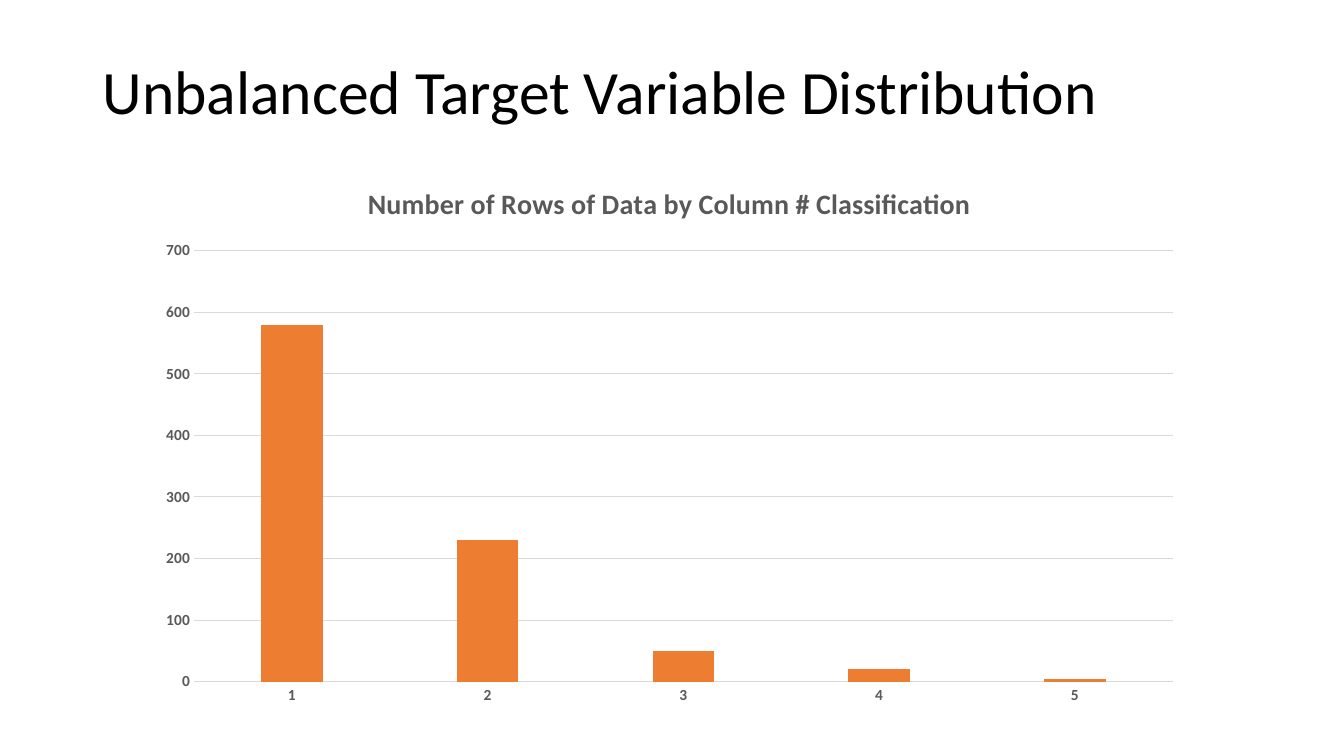
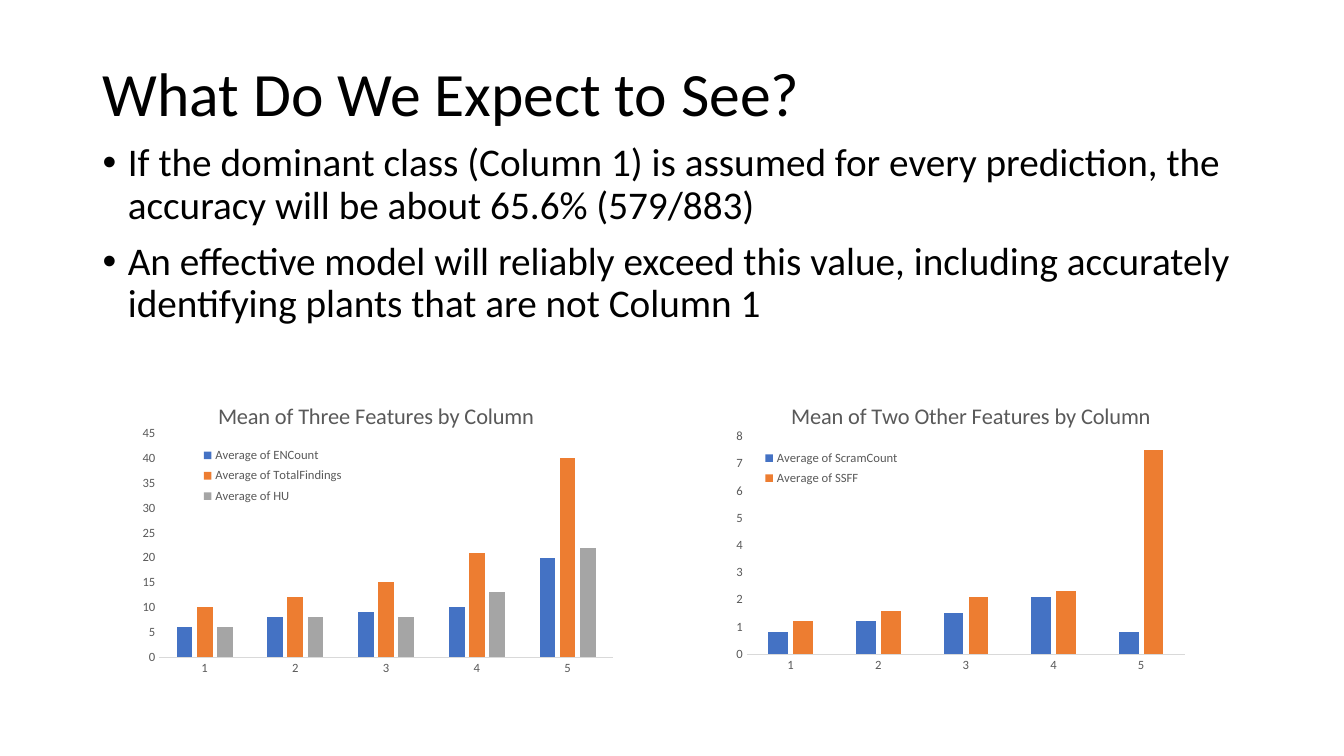
from lxml import etree
from pptx import Presentation
from pptx.chart.data import CategoryChartData
from pptx.dml.color import RGBColor
from pptx.enum.chart import XL_CHART_TYPE, XL_LEGEND_POSITION, XL_TICK_MARK
from pptx.enum.text import MSO_ANCHOR
from pptx.oxml.ns import qn
from pptx.util import Inches, Pt

COLUMNS = XL_CHART_TYPE.COLUMN_CLUSTERED
LEGEND_RIGHT = XL_LEGEND_POSITION.RIGHT
NO_TICK = XL_TICK_MARK.NONE
MIDDLE = MSO_ANCHOR.MIDDLE
TOP = MSO_ANCHOR.TOP

FONT = "Calibri"
BLACK = "000000"
GRAY_TEXT = "595959"
GRAY_LINE = "D9D9D9"
BLUE = "4472C4"
ORANGE = "ED7D31"
SILVER = "A5A5A5"
CATEGORIES = ["1", "2", "3", "4", "5"]
MARGIN_LEFT = 0.92
TEXT_WIDTH = 11.5


def color(hex_code):
    """Return the colour for a hex string."""
    return RGBColor.from_string(hex_code)


def style_font(font, size, hex_code, bold=False):
    """Set typeface, size, colour and weight."""
    font.name = FONT
    font.size = Pt(size)
    font.color.rgb = color(hex_code)
    font.bold = bold


def add_text(page, top, height, lines, size, anchor):
    """Add a text box across the page and return its paragraphs."""
    box = page.shapes.add_textbox(Inches(MARGIN_LEFT), Inches(top),
                                  Inches(TEXT_WIDTH), Inches(height))
    frame = box.text_frame
    frame.word_wrap = True
    frame.vertical_anchor = anchor
    frame.text = "\n".join(lines)
    for para in frame.paragraphs:
        para.line_spacing = 0.9
        style_font(para.font, size, BLACK)
    return frame.paragraphs


def add_title(page, text, top):
    """Add the slide title."""
    add_text(page, top, 1.45, [text], 44, MIDDLE)


def add_bullets(page, lines, top, height):
    """Add a bulleted list with hanging indents."""
    for para in add_text(page, top, height, lines, 28, TOP):
        para.space_before = Pt(10)
        properties = para._p.get_or_add_pPr()
        properties.set("marL", str(Inches(0.25)))
        properties.set("indent", str(-Inches(0.25)))
        etree.SubElement(properties, qn("a:buFont")).set("typeface", "Arial")
        etree.SubElement(properties, qn("a:buChar")).set("char", "•")


def make_layout(left, top, width, height, inner=False):
    """Return a manual chart layout, in fractions of the chart."""
    layout = etree.Element(qn("c:layout"))
    manual = etree.SubElement(layout, qn("c:manualLayout"))
    settings = [("xMode", "edge"), ("yMode", "edge"), ("x", left),
                ("y", top), ("w", width), ("h", height)]
    if inner:
        settings.insert(0, ("layoutTarget", "inner"))
    for name, value in settings:
        etree.SubElement(manual, qn("c:" + name)).set("val", str(value))
    return layout


def place_plot(chart, area):
    """Fix the inner plot area."""
    plot_area = chart._chartSpace.chart.plotArea
    for old in plot_area.findall(qn("c:layout")):
        plot_area.remove(old)
    plot_area.insert(0, make_layout(*area, inner=True))


def add_legend(chart, area):
    """Add a legend at a fixed place over the plot."""
    chart.has_legend = True
    legend = chart.legend
    legend.position = LEGEND_RIGHT
    legend.include_in_layout = False
    style_font(legend.font, 9, GRAY_TEXT)
    element = legend._element
    for old in element.findall(qn("c:layout")):
        element.remove(old)
    element.find(qn("c:legendPos")).addnext(make_layout(*area))


def style_axes(chart, size, bold, maximum, step, grid):
    """Style both axes and set the value scale."""
    for axis in (chart.category_axis, chart.value_axis):
        axis.major_tick_mark = NO_TICK
        axis.minor_tick_mark = NO_TICK
        style_font(axis.tick_labels.font, size, GRAY_TEXT, bold)
    lines = [chart.category_axis.format.line]
    values = chart.value_axis
    values.format.line.fill.background()
    values.minimum_scale = 0
    values.maximum_scale = maximum
    values.major_unit = step
    values.has_major_gridlines = grid
    if grid:
        lines.append(values.major_gridlines.format.line)
    for line in lines:
        line.color.rgb = color(GRAY_LINE)
        line.width = Pt(0.75)


def add_column_chart(page, area, title, series, maximum, step, title_size=16,
                     axis_size=9, bold=False, grid=False):
    """Add a clustered column chart; series holds (name, values, colour)."""
    data = CategoryChartData()
    data.categories = CATEGORIES
    for name, values, _ in series:
        data.add_series(name, values)
    chart = page.shapes.add_chart(COLUMNS, *map(Inches, area), data).chart
    style_font(chart.font, 10, BLACK)
    chart.has_legend = False
    chart.has_title = True
    chart.chart_title.include_in_layout = False
    frame = chart.chart_title.text_frame
    frame.text = title
    style_font(frame.paragraphs[0].font, title_size, GRAY_TEXT, bold)
    style_axes(chart, axis_size, bold, maximum, step, grid)
    plot = chart.plots[0]
    plot.gap_width = 219
    plot.overlap = -27
    plot.vary_by_categories = False
    for columns, (_, _, fill) in zip(plot.series, series):
        columns.format.fill.solid()
        columns.format.fill.fore_color.rgb = color(fill)
    return chart


def build_distribution(page):
    """Build the slide on the target variable."""
    add_title(page, "Unbalanced Target Variable Distribution", 0.21)
    add_column_chart(
        page, (1.44, 1.61, 10.4, 5.49),
        "Number of Rows of Data by Column # Classification",
        [("Series 1", [580, 230, 50, 20, 5], ORANGE)],
        700, 100, title_size=20, axis_size=11, bold=True, grid=True)


def build_expectations(page):
    """Build the slide on expected accuracy and feature means."""
    add_title(page, "What Do We Expect to See?", 0.23)
    add_bullets(page, [
        "If the dominant class (Column 1) is assumed for every prediction, "
        "the accuracy will be about 65.6% (579/883)",
        "An effective model will reliably exceed this value, including "
        "accurately identifying plants that are not Column 1",
    ], 1.37, 2.15)
    three_features = add_column_chart(
        page, (1.23, 3.82, 5, 3), "Mean of Three Features by Column",
        [("Average of ENCount", [6, 8, 9, 10, 20], BLUE),
         ("Average of TotalFindings", [10, 12, 15, 21, 40], ORANGE),
         ("Average of HU", [6, 8, 8, 13, 22], SILVER)], 45, 5)
    place_plot(three_features, (0.07, 0.16, 0.9, 0.74))
    add_legend(three_features, (0.14, 0.19, 0.31, 0.22))
    two_features = add_column_chart(
        page, (7.16, 3.82, 4.94, 3), "Mean of Two Other Features by Column",
        [("Average of ScramCount", [0.8, 1.2, 1.5, 2.1, 0.8], BLUE),
         ("Average of SSFF", [1.2, 1.6, 2.1, 2.3, 7.5], ORANGE)], 8, 1)
    place_plot(two_features, (0.05, 0.17, 0.88, 0.72))
    add_legend(two_features, (0.07, 0.2, 0.3, 0.15))


def main():
    """Build and save the deck."""
    deck = Presentation()
    deck.slide_width = Inches(13.33)
    deck.slide_height = Inches(7.5)
    blank = deck.slide_layouts[6]
    for build in (build_distribution, build_expectations):
        build(deck.slides.add_slide(blank))
    deck.save("out.pptx")


main()
